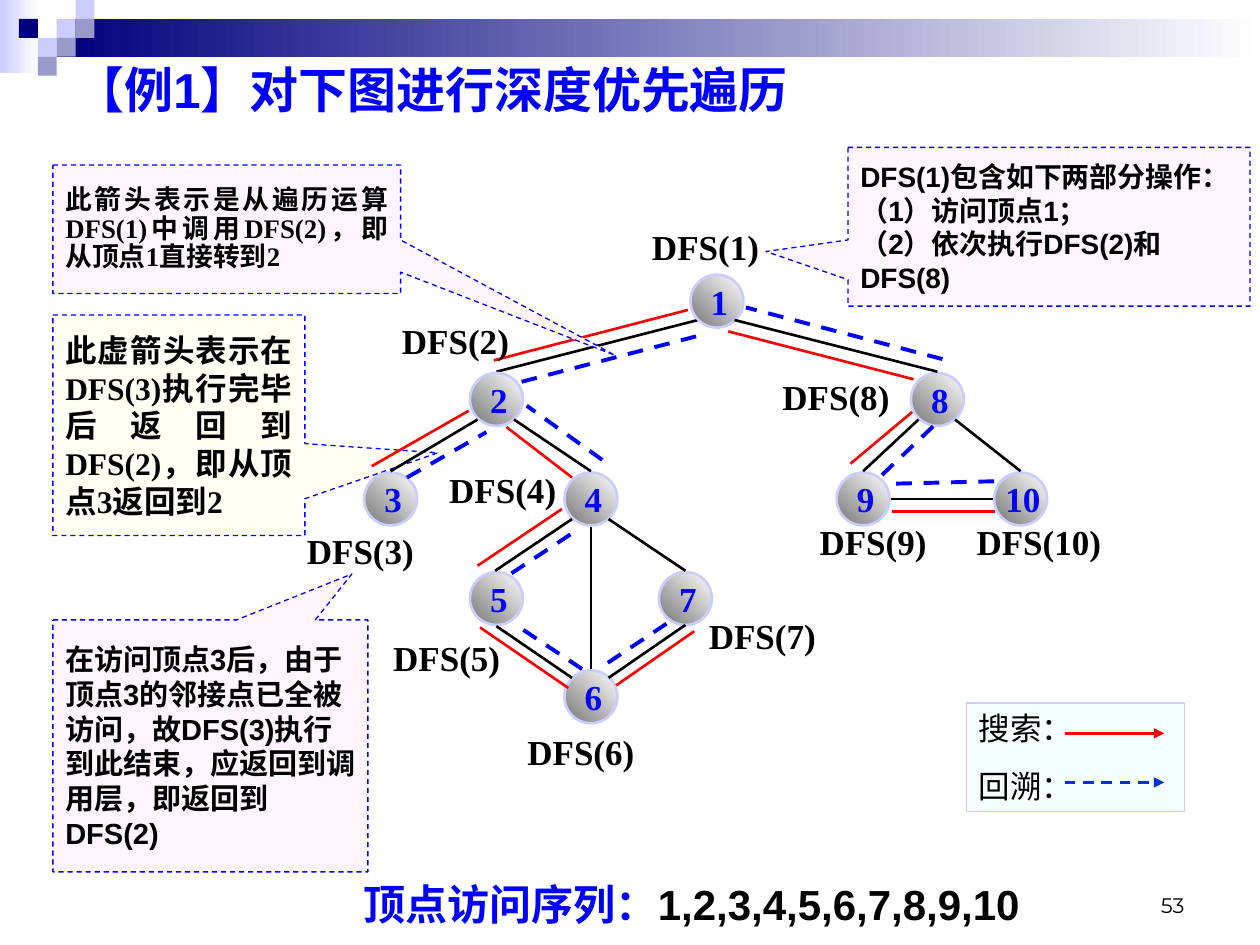
from lxml import etree
from pptx import Presentation
from pptx import util as u
from pptx.dml.color import RGBColor
from pptx.enum import dml, shapes, text
from pptx.oxml import ns

COLORS = {
    "black": "000000", "white": "FFFFFF", "red": "FF0000", "blue": "0000FF",
    "arrow_blue": "0033CC", "navy": "00007D", "lavender": "CCCCFF",
    "violet": "9999CC", "gray": "767676", "pink": "FFF5FF",
    "cream": "FFFFF5", "ice": "F5FFFF",
}
RGB = {name: RGBColor.from_string(value) for name, value in COLORS.items()}
SERIF = "Times New Roman"
SANS = "Arial"


def write(box, words, size=20, font=SERIF, color="black", bold=True,
          align=text.PP_ALIGN.LEFT, anchor=text.MSO_ANCHOR.TOP,
          wrap=True, spacing=None, before=0):
    frame = box.text_frame
    frame.word_wrap = wrap
    frame.auto_size = text.MSO_AUTO_SIZE.NONE
    frame.vertical_anchor = anchor
    for index, line in enumerate(words.split("\n")):
        para = frame.add_paragraph() if index else frame.paragraphs[0]
        para.alignment = align
        para.line_spacing = spacing
        para.space_before = u.Pt(before if index else 0)
        span = para.add_run()
        span.text = line
        span.font.size = u.Pt(size)
        span.font.name = font
        span.font.bold = bold
        span.font.color.rgb = RGB[color]


def draw_line(x1, y1, x2, y2, color="black", width=1.5, dashed=False, arrow=False):
    line = page.shapes.add_connector(
        shapes.MSO_CONNECTOR.STRAIGHT,
        u.Inches(x1), u.Inches(y1), u.Inches(x2), u.Inches(y2))
    line.line.color.rgb = RGB[color]
    line.line.width = u.Pt(width)
    if dashed:
        line.line.dash_style = dml.MSO_LINE.DASH
    if arrow:
        tail = etree.SubElement(line.line._get_or_add_ln(), ns.qn("a:tailEnd"))
        tail.set("type", "triangle")
    etree.SubElement(line._element.spPr, ns.qn("a:effectLst"))


deck = Presentation()
deck.slide_width = u.Inches(10)
deck.slide_height = u.Inches(7.5)
page = deck.slides.add_slide(deck.slide_layouts[5])

banners = [
    (0, 0, 0.31, 0.58, "lavender"),
    (0.45, 0.15, 9.55, 0.3, "navy"),
]
for left, top, width, height, color in banners:
    banner = page.shapes.add_shape(
        shapes.MSO_SHAPE.RECTANGLE,
        u.Inches(left), u.Inches(top), u.Inches(width), u.Inches(height))
    banner.shadow.inherit = False
    banner.line.fill.background()
    banner.fill.gradient()
    banner.fill.gradient_angle = 0
    for stop, shade in zip(banner.fill.gradient_stops, (color, "white")):
        stop.color.rgb = RGB[shade]

tiles = [
    (3, 1, "lavender"), (4, 0, "lavender"), (4, 1, "violet"), (2, 2, "lavender"),
    (1, 1, "navy"), (3, 2, "violet"), (2, 3, "violet"),
]
for column, row, color in tiles:
    tile = page.shapes.add_shape(
        shapes.MSO_SHAPE.RECTANGLE,
        u.Inches(0.15 * column), u.Inches(0.15 * row), u.Inches(0.15), u.Inches(0.15))
    tile.shadow.inherit = False
    tile.line.fill.background()
    tile.fill.solid()
    tile.fill.fore_color.rgb = RGB[color]

title = page.shapes.title
title.left, title.top = u.Inches(0.5), u.Inches(0.42)
title.width, title.height = u.Inches(9), u.Inches(0.65)
write(title, "【例1】对下图进行深度优先遍历", size=28, font=SANS, color="blue")

draw_line(5.54, 2.54, 3.94, 2.95)
draw_line(5.46, 2.46, 3.92, 2.86, color="red")
draw_line(4.14, 3.03, 5.6, 2.65, color="blue", width=2.25, dashed=True)

JUSTIFY = text.PP_ALIGN.JUSTIFY
callouts = [
    (0.42, 2.5, 2, 1.75, (1.028, 0.125), "cream",
     "此虚箭头表示在DFS(3)执行完毕后返回到DFS(2)，即从顶点3返回到2",
     dict(size=18, align=JUSTIFY)),
    (6.73, 1.17, 3.19, 1.26, (-0.704, 0.156), "pink",
     "DFS(1)包含如下两部分操作：\n（1）访问顶点1；\n（2）依次执行DFS(2)和DFS(8)",
     dict(size=16, font=SANS)),
    (0.42, 1.31, 2.76, 1.02, (1.117, 0.981), "pink",
     "此箭头表示是从遍历运算DFS(1)中调用DFS(2)，即从顶点1直接转到2",
     dict(size=15.3, align=JUSTIFY, spacing=0.9)),
    (0.42, 4.92, 2.5, 2, (0.449, -0.682), "pink",
     "在访问顶点3后，由于顶点3的邻接点已全被访问，故DFS(3)执行到此结束，应返回到调用层，即返回到DFS(2)",
     dict(size=16.6, font=SANS)),
]
for left, top, width, height, pointer, color, words, style in callouts:
    callout = page.shapes.add_shape(
        shapes.MSO_SHAPE.RECTANGULAR_CALLOUT,
        u.Inches(left), u.Inches(top), u.Inches(width), u.Inches(height))
    callout.adjustments[0], callout.adjustments[1] = pointer
    callout.shadow.inherit = False
    callout.fill.solid()
    callout.fill.fore_color.rgb = RGB[color]
    callout.line.color.rgb = RGB["blue"]
    callout.line.width = u.Pt(0.75)
    callout.line.dash_style = dml.MSO_LINE.DASH
    write(callout, words, anchor=text.MSO_ANCHOR.MIDDLE, **style)

vertices = {
    1: (5.48, 2.18), 2: (3.73, 2.96), 3: (2.89, 3.75), 4: (4.48, 3.75), 5: (3.73, 4.54),
    6: (4.48, 5.32), 7: (5.23, 4.54), 8: (7.23, 2.96), 9: (6.64, 3.75), 10: (7.89, 3.75),
}
for number, (left, top) in vertices.items():
    vertex = page.shapes.add_shape(
        shapes.MSO_SHAPE.OVAL,
        u.Inches(left), u.Inches(top), u.Inches(0.42), u.Inches(0.42))
    vertex.shadow.inherit = False
    vertex.fill.gradient()
    vertex.fill.gradient_angle = 45
    for stop, shade in zip(vertex.fill.gradient_stops, ("gray", "white")):
        stop.color.rgb = RGB[shade]
    vertex.line.color.rgb = RGB["lavender"]
    vertex.line.width = u.Pt(1.5)
    vertex.text_frame.margin_right = u.Inches(0.06)
    write(vertex, str(number), color="blue", wrap=False,
          align=text.PP_ALIGN.CENTER, anchor=text.MSO_ANCHOR.MIDDLE)

edges = [
    (5.83, 2.54, 7.44, 2.95), (3.79, 3.33, 3.1, 3.74), (4.08, 3.33, 4.69, 3.74),
    (4.54, 4.12, 3.93, 4.53), (4.83, 4.12, 5.44, 4.53), (4.69, 4.18, 4.69, 5.31),
    (3.94, 4.97, 4.54, 5.38), (4.83, 5.38, 5.44, 4.96), (7.29, 3.33, 6.85, 3.74),
    (7.58, 3.33, 8.1, 3.74), (7.07, 3.96, 7.88, 3.96),
]
for ends in edges:
    draw_line(*ends)

searches = [
    (3.72, 3.26, 2.95, 3.7), (4.02, 3.39, 4.54, 3.79), (4.46, 4.04, 3.79, 4.49),
    (3.81, 4.98, 4.51, 5.46), (4.89, 5.44, 5.51, 5.01), (5.78, 2.63, 7.25, 3.01),
    (7.24, 3.27, 6.75, 3.68), (7.08, 4.06, 7.9, 4.06),
]
for ends in searches:
    draw_line(*ends, color="red")

returns = [
    (3.23, 3.79, 3.86, 3.43), (5.29, 4.95, 4.81, 5.27), (4.62, 5.31, 4.08, 4.95),
    (4.06, 4.55, 4.59, 4.2), (4.78, 3.65, 4.18, 3.22), (7.89, 3.82, 7.05, 3.84),
    (7, 3.77, 7.41, 3.38), (7.48, 2.85, 5.92, 2.44),
]
for ends in returns:
    draw_line(*ends, color="blue", width=2.25, dashed=True)

calls = [
    (5, 1.74, 1.2), (3.06, 2.49, 1.11), (2.25, 4.15, 1.22), (3.42, 3.67, 1.14),
    (2.92, 5, 1.25), (4, 5.75, 1.22), (5.44, 4.83, 1.22), (6, 2.93, 1.27),
    (6.36, 4.08, 1.14), (7.58, 4.08, 1.33),
]
for number, (left, top, width) in enumerate(calls, 1):
    label = page.shapes.add_textbox(
        u.Inches(left), u.Inches(top), u.Inches(width), u.Inches(0.44))
    write(label, f"DFS({number})", align=text.PP_ALIGN.CENTER)

legend = page.shapes.add_shape(
    shapes.MSO_SHAPE.RECTANGLE,
    u.Inches(7.67), u.Inches(5.58), u.Inches(1.73), u.Inches(0.86))
legend.shadow.inherit = False
legend.fill.solid()
legend.fill.fore_color.rgb = RGB["ice"]
legend.line.color.rgb = RGB["lavender"]
legend.line.width = u.Pt(0.75)
write(legend, "搜索：\n回溯：", size=18, font=SANS, bold=False, before=11.2)
draw_line(8.45, 5.82, 9.24, 5.82, color="red", arrow=True)
draw_line(8.45, 6.21, 9.24, 6.21, color="arrow_blue", dashed=True, arrow=True)

sequence = page.shapes.add_textbox(
    u.Inches(2.75), u.Inches(6.92), u.Inches(5.48), u.Inches(0.5))
for words, color in [("顶点访问序列：", "blue"), ("1,2,3,4,5,6,7,8,9,10", "black")]:
    write(sequence, words, size=24, font=SANS, color=color, wrap=False,
          align=text.PP_ALIGN.CENTER)

page_number = page.shapes.add_textbox(
    u.Inches(7.17), u.Inches(6.83), u.Inches(2.33), u.Inches(0.5))
write(page_number, "53", size=12, font="Montserrat", bold=False,
      align=text.PP_ALIGN.RIGHT, anchor=text.MSO_ANCHOR.BOTTOM)

deck.save("out.pptx")
